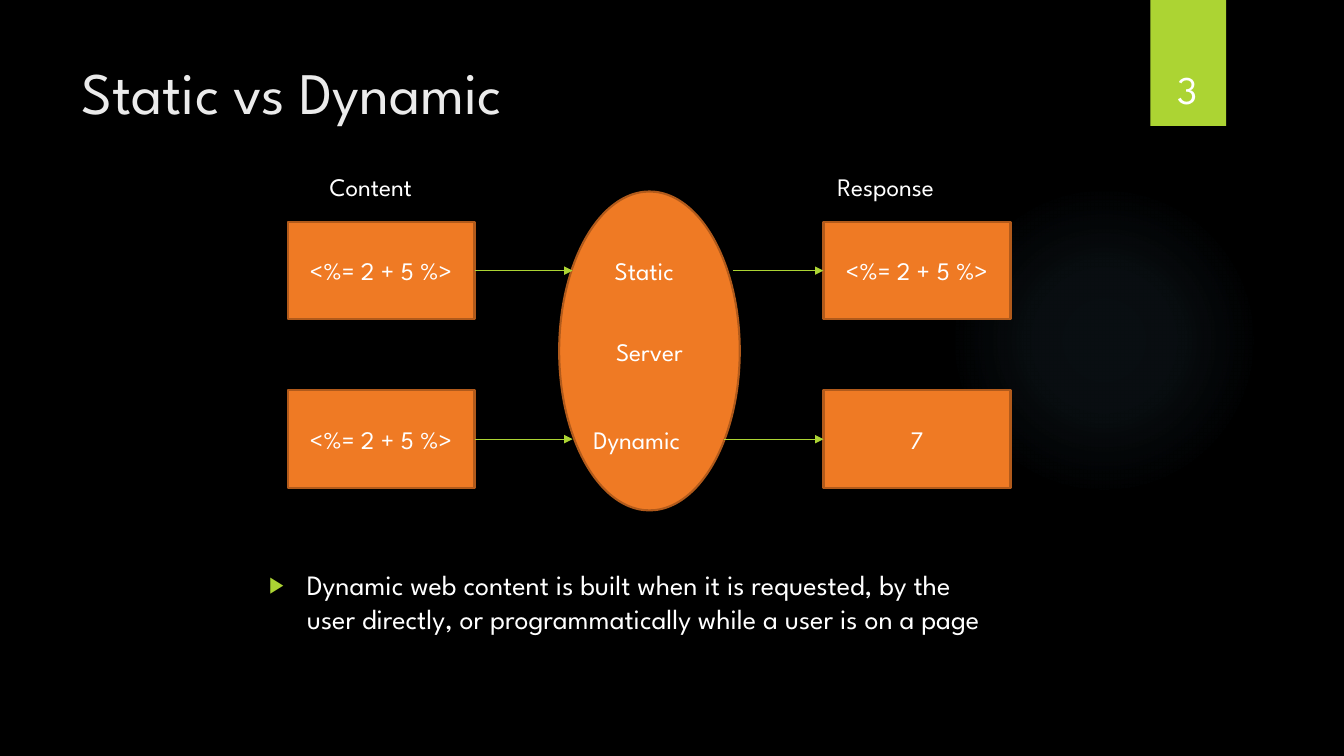
import pptx
import pptx.util
import pptx.dml.color
import pptx.enum.shapes
import pptx.enum.text
import pptx.oxml
import pptx.oxml.ns
from lxml import etree

Pt = pptx.util.Pt
RGB = pptx.dml.color.RGBColor.from_string
SHAPE = pptx.enum.shapes.MSO_SHAPE
ANCHOR = pptx.enum.text.MSO_ANCHOR
ALIGN = pptx.enum.text.PP_ALIGN
FIT = pptx.enum.text.MSO_AUTO_SIZE
qn = pptx.oxml.ns.qn

THEME = {
    "font": "League Spartan",
    "back": "000000", "title": "EBEBEB", "text": "FFFFFF",
    "accent": "ACD433", "box": "EF7A24", "edge": "B15A1B", "glow": "7AC4F0",
    "title_size": 42, "number_size": 28, "body_size": 20, "label_size": 18,
}


def write(shape, text, size="label_size", color="text", align=ALIGN.LEFT, **frame):
    """Put one formatted paragraph in a shape; frame holds text frame settings."""
    tf = shape.text_frame
    tf.text = text
    settings = {"word_wrap": True, "auto_size": FIT.NONE,
                "vertical_anchor": ANCHOR.TOP, **frame}
    for name, value in settings.items():
        setattr(tf, name, value)
    p = tf.paragraphs[0]
    p.alignment = align
    font = p.runs[0].font
    for name, value in {"name": THEME["font"], "size": Pt(THEME[size])}.items():
        setattr(font, name, value)
    font.color.rgb = RGB(THEME[color])
    return p


def add_shape(kind, x, y, w, h, fill, edge=None):
    sp = s.shapes.add_shape(kind, Pt(x), Pt(y), Pt(w), Pt(h))
    sp.shadow.inherit = False
    sp.fill.solid()
    sp.fill.fore_color.rgb = RGB(THEME[fill])
    if edge:
        sp.line.color.rgb = RGB(THEME[edge])
        sp.line.width = Pt(1.5)
    else:
        sp.line.fill.background()
    return sp


prs = pptx.Presentation()
prs.slide_width, prs.slide_height = Pt(960), Pt(540)
s = prs.slides.add_slide(prs.slide_layouts[1])
s.background.fill.solid()
s.background.fill.fore_color.rgb = RGB(THEME["back"])

# Title and body
title, body = s.shapes.title, s.placeholders[1]
for sp, place in ((title, (51, 36, 741, 110)), (body, (185, 401.8, 528.5, 90))):
    sp.left, sp.top, sp.width, sp.height = map(Pt, place)
write(title, "Static vs Dynamic", "title_size", "title")
p = write(body, "Dynamic web content is built when it is requested, by the user "
          "directly, or programmatically while a user is on a page", "body_size")
p.space_before = Pt(10)
pPr = p._p.get_or_add_pPr()
pPr.set("marL", str(Pt(27)))
pPr.set("indent", str(Pt(-27)))
color = etree.SubElement(pPr, qn("a:buClr"))
etree.SubElement(color, qn("a:srgbClr"), val=THEME["accent"])
etree.SubElement(pPr, qn("a:buSzPct"), val="80000")
etree.SubElement(pPr, qn("a:buFont"), typeface="Arial")
etree.SubElement(pPr, qn("a:buChar"), char="▶")

# Soft glow behind everything
glow = add_shape(SHAPE.OVAL, 677.5, 131.8, 221.8, 221.8, "glow")
stops = "".join(
    f'<a:gs pos="{pos}000"><a:srgbClr val="{THEME["glow"]}">'
    f'<a:alpha val="{alpha}000"/></a:srgbClr></a:gs>'
    for pos, alpha in ((0, 7), (36, 6), (69, 0), (100, 0)))
gradient = pptx.oxml.parse_xml(
    f'<a:gradFill {pptx.oxml.ns.nsdecls("a")}><a:gsLst>{stops}</a:gsLst>'
    '<a:path path="circle"><a:fillToRect l="50000" t="50000" r="50000" b="50000"/>'
    '</a:path></a:gradFill>')
solid = glow._element.spPr.find(qn("a:solidFill"))
solid.getparent().replace(solid, gradient)
s.shapes._spTree.insert(2, glow._element)

# Slide number tab
add_shape(SHAPE.RECTANGLE, 821.8, 0, 54, 90, "accent")
number = s.shapes.add_textbox(Pt(815), Pt(23), Pt(66), Pt(60.5))
write(number, "3", "number_size", align=ALIGN.CENTER, vertical_anchor=ANCHOR.BOTTOM)

# Server, with one row of content, arrows and response for each kind
centred = {"align": ALIGN.CENTER, "vertical_anchor": ANCHOR.MIDDLE}
server = add_shape(SHAPE.OVAL, 399.4, 136.8, 129, 227.8, "box", "edge")
write(server, "Server", **centred)

BOX_W, BOX_H = 133.6, 69.8
CONTENT_X, RESPONSE_X, ARROW_IN_X = 205.4, 588.2, 409
rows = ((158.4, "<%= 2 + 5 %>", 523.4), (278.8, "7", 517))
for y, response, arrow_out_x in rows:
    boxes = []
    for x, text in ((CONTENT_X, "<%= 2 + 5 %>"), (RESPONSE_X, response)):
        box = add_shape(SHAPE.RECTANGLE, x, y, BOX_W, BOX_H, "box", "edge")
        write(box, text, **centred)
        boxes.append(box)
    mid = y + BOX_H / 2
    arrows = [s.shapes.add_connector(pptx.enum.shapes.MSO_CONNECTOR.STRAIGHT,
                                     Pt(x1), Pt(mid), Pt(x2), Pt(mid))
              for x1, x2 in ((CONTENT_X + BOX_W, ARROW_IN_X), (arrow_out_x, RESPONSE_X))]
    arrows[0].begin_connect(boxes[0], 3)
    arrows[1].end_connect(boxes[1], 1)
    for arrow in arrows:
        arrow.line.color.rgb = RGB(THEME["accent"])
        arrow.line.width = Pt(0.75)
        etree.SubElement(arrow.line._get_or_add_ln(), qn("a:tailEnd"), type="triangle")
        etree.SubElement(arrow._element.spPr, qn("a:effectLst"))

labels = (("Content", 228.4, 118.8, 87.8), ("Response", 591, 118.8, 98.6),
          ("Static", 432, 178.8, 64), ("Dynamic", 416.8, 299.2, 93.6))
for text, x, y, w in labels:
    label = s.shapes.add_textbox(Pt(x), Pt(y), Pt(w), Pt(29))
    write(label, text, word_wrap=False, auto_size=FIT.SHAPE_TO_FIT_TEXT)

prs.save("out.pptx")
